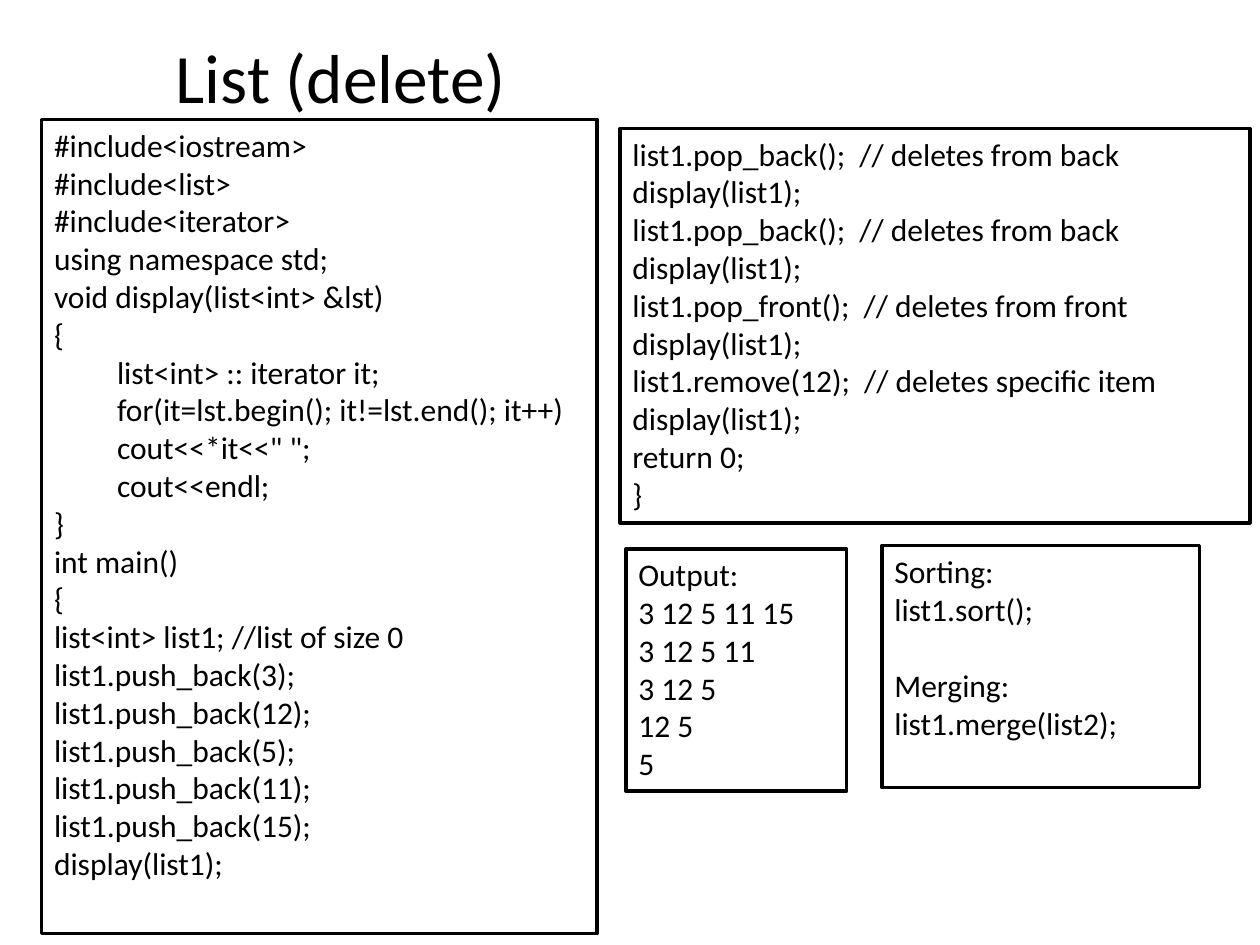
from pptx import Presentation
from pptx import util as u
from pptx.dml.color import RGBColor
from pptx.enum import shapes, text

COLORS = {"ink": "000000", "paper": "FFFFFF"}
FONT = "Calibri"
CODE_SIZE = 18
LINE_HEIGHT = 22  # points, one line of code text

LISTING = """#include<iostream>
#include<list>
#include<iterator>
using namespace std;
void display(list<int> &lst)
{
\tlist<int> :: iterator it;
\tfor(it=lst.begin(); it!=lst.end(); it++)
\tcout<<*it<<" ";
\tcout<<endl;
}
int main()
{
list<int> list1; //list of size 0
list1.push_back(3);
list1.push_back(12);
list1.push_back(5);
list1.push_back(11);
list1.push_back(15);
display(list1);"""

DELETIONS = """list1.pop_back();  // deletes from back
display(list1);
list1.pop_back();  // deletes from back
display(list1);
list1.pop_front();  // deletes from front
display(list1);
list1.remove(12);  // deletes specific item
display(list1);
return 0;
}"""

OUTPUT = """Output:
3 12 5 11 15
3 12 5 11
3 12 5
12 5
5"""

SORT_AND_MERGE = """Sorting:
list1.sort();
Merging:
list1.merge(list2);"""


def color(name):
    return RGBColor.from_string(COLORS[name])


def apply(target, values):
    for name, value in values.items():
        setattr(target, name, value)


def style_font(paragraph, size):
    apply(paragraph.font, {"name": FONT, "size": u.Pt(size)})
    paragraph.font.color.rgb = color("ink")


def place_title(slide, wording, left, top, width, height):
    title = slide.shapes.title
    apply(title, {"left": u.Cm(left), "top": u.Cm(top),
                  "width": u.Cm(width), "height": u.Cm(height)})
    frame = title.text_frame
    frame.text = wording
    apply(frame, {"vertical_anchor": text.MSO_ANCHOR.MIDDLE,
                  "auto_size": text.MSO_AUTO_SIZE.NONE})
    heading = frame.paragraphs[0]
    heading.alignment = text.PP_ALIGN.CENTER
    style_font(heading, 39.6)


def add_code_box(slide, code, left, top, width, height):
    """Add a framed box with one paragraph per line; return its paragraphs."""
    box = slide.shapes.add_shape(shapes.MSO_SHAPE.RECTANGLE, u.Cm(left),
                                 u.Cm(top), u.Cm(width), u.Cm(height))
    box.shadow.inherit = False
    box.fill.solid()
    box.fill.fore_color.rgb = color("paper")
    box.line.color.rgb = color("ink")
    box.line.width = u.Pt(2)
    frame = box.text_frame
    frame.text = code
    apply(frame, {"word_wrap": True,
                  "vertical_anchor": text.MSO_ANCHOR.TOP,
                  "auto_size": text.MSO_AUTO_SIZE.SHAPE_TO_FIT_TEXT})
    for line in frame.paragraphs:
        line.alignment = text.PP_ALIGN.LEFT
        style_font(line, CODE_SIZE)
    return frame.paragraphs


def main():
    deck = Presentation()
    apply(deck, {"slide_width": u.Cm(25.4), "slide_height": u.Cm(19.05)})
    slide = deck.slides.add_slide(deck.slide_layouts[5])

    # Heading
    place_title(slide, "List (delete)", 1.27, 0.64, 11.2, 1.78)

    # Program and its output
    add_code_box(slide, OUTPUT, 12.62, 11.07, 4.45, 4.88)
    add_code_box(slide, LISTING, 0.84, 2.41, 11.2, 16.41)
    add_code_box(slide, DELETIONS, 12.5, 2.59, 12.7, 7.95)

    # Sorting and merging, set one line apart
    calls = add_code_box(slide, SORT_AND_MERGE, 17.78, 11, 6.4, 4.88)
    calls[2].space_before = u.Pt(LINE_HEIGHT)

    deck.save("out.pptx")


if __name__ == "__main__":
    main()
